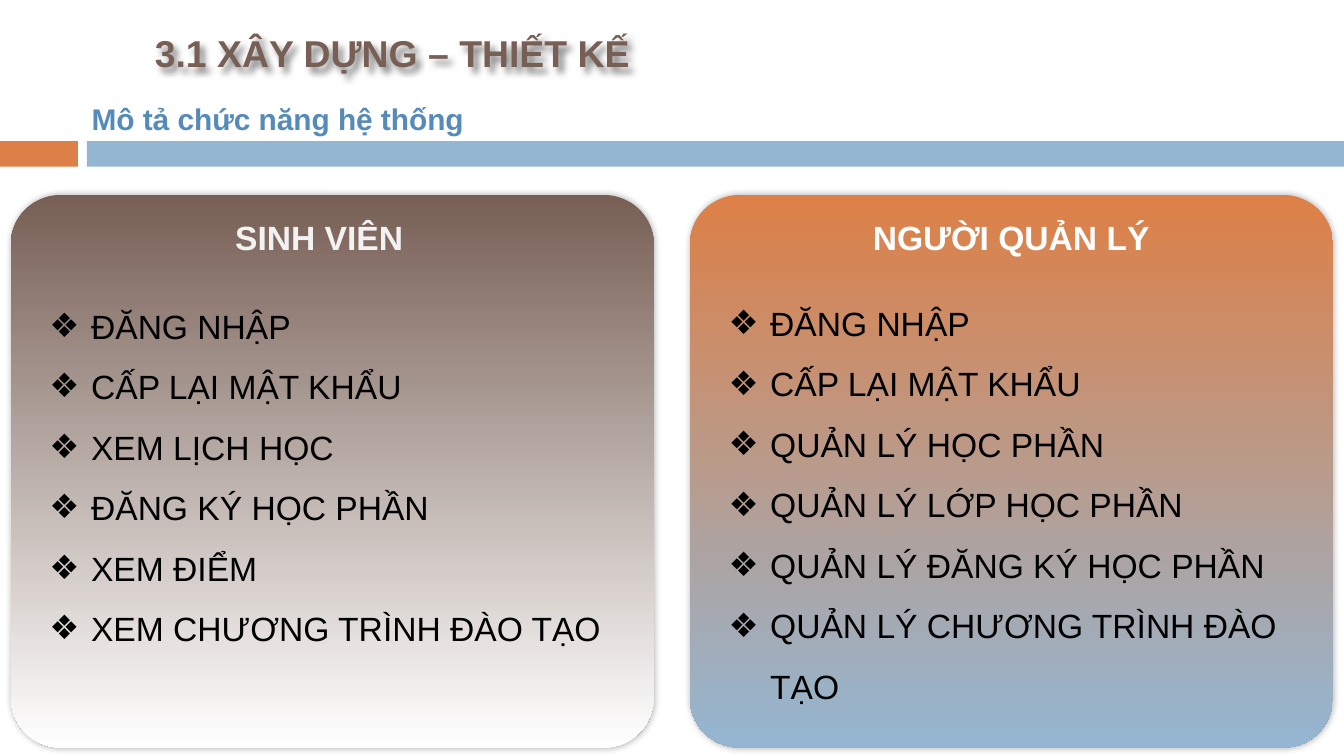
from lxml.etree import SubElement as Sub
from pptx import Presentation
from pptx.dml.color import RGBColor as RGB
from pptx.enum.shapes import MSO_SHAPE as SHAPE
from pptx.enum.text import MSO_ANCHOR as ANCHOR, MSO_AUTO_SIZE as AUTO, PP_ALIGN as ALIGN
from pptx.oxml.ns import qn
from pptx.util import Inches, Pt

ORANGE = RGB(0xDD, 0x80, 0x47)
BLUE = RGB(0x94, 0xB6, 0xD2)
DEEP_BLUE = RGB(0x55, 0x8B, 0xB8)
BROWN = RGB(0x77, 0x5F, 0x55)
PALE = RGB(0xF2, 0xF2, 0xF2)
WHITE = RGB(0xFF, 0xFF, 0xFF)
BLACK = RGB(0, 0, 0)

prs = Presentation()
prs.slide_width = Inches(10)
prs.slide_height = prs.slide_width * 9 // 16
COL, ROW = prs.slide_width / 100, prs.slide_height / 100
slide = prs.slides.add_slide(prs.slide_layouts[4])
shapes = slide.shapes
title, *pairs = slide.placeholders
heads, bodies = pairs[0::2], pairs[1::2]


def place(sp, x, y, w, h):
    sp.left, sp.top = int(x * COL), int(y * ROW)
    sp.width, sp.height = int(w * COL), int(h * ROW)
    shapes._spTree.append(sp._element)
    tf = sp.text_frame
    tf.word_wrap, tf.auto_size = True, AUTO.NONE
    tf.vertical_anchor = ANCHOR.TOP
    return tf


def add_run(p, text, size, color, bold=False):
    p.space_before = Pt(0)
    r = p.add_run()
    r.text = text
    r.font.size, r.font.bold, r.font.name = Pt(size), bold, "Arial"
    r.font.color.rgb = color


for x, w, color in ((0, 5.8, ORANGE), (6.46, 93.54, BLUE)):
    sp = shapes.add_shape(SHAPE.RECTANGLE, 0, 0, 0, 0)
    place(sp, x, 18.67, w, 3.38)
    sp.shadow.inherit = False
    sp.fill.solid()
    sp.fill.fore_color.rgb = color
    sp.line.fill.background()

shadows = [(title, 4, 3, 45, 50)]
cards = [
    (0.8, 15, 17.5, 36.86, 49.24, "SINH VIÊN", PALE, (BROWN, WHITE), [
        "ĐĂNG NHẬP", "CẤP LẠI MẬT KHẨU", "XEM LỊCH HỌC",
        "ĐĂNG KÝ HỌC PHẦN", "XEM ĐIỂM", "XEM CHƯƠNG TRÌNH ĐÀO TẠO"]),
    (51.33, 63.1, 24.3, 36.5, 57.42, "NGƯỜI QUẢN LÝ", WHITE, (ORANGE, BLUE), [
        "ĐĂNG NHẬP", "CẤP LẠI MẬT KHẨU", "QUẢN LÝ HỌC PHẦN",
        "QUẢN LÝ LỚP HỌC PHẦN", "QUẢN LÝ ĐĂNG KÝ HỌC PHẦN",
        "QUẢN LÝ CHƯƠNG TRÌNH ĐÀO TẠO"]),
]
for card, head, body in zip(cards, heads, bodies):
    x, head_x, head_w, body_y, body_h, name, color, ends, items = card
    sp = shapes.add_shape(SHAPE.ROUNDED_RECTANGLE, 0, 0, 0, 0)
    place(sp, x, 25.8, 47.85, 73.1)
    sp.adjustments[0] = 0.09
    sp.fill.gradient()
    sp.fill.gradient_angle = 270
    for stop, end, pos in zip(sp.fill.gradient_stops, ends, (0, 1)):
        stop.color.rgb, stop.position = end, pos
    sp.line.fill.background()
    shadows.append((sp, 3.4, 0.8, 9, 30))

    p = place(head, head_x, 27.8, head_w, 7.11).paragraphs[0]
    p.alignment = ALIGN.CENTER
    add_run(p, name, 18, color, True)

    tf = place(body, x + 1.88, body_y, 44.2, body_h)
    for i, item in enumerate(items):
        p = tf.add_paragraph() if i else tf.paragraphs[0]
        pPr = p._p.get_or_add_pPr()
        pPr.set("marL", str(Inches(0.31)))
        pPr.set("indent", str(-Inches(0.31)))
        Sub(Sub(pPr, qn("a:buClr")), qn("a:srgbClr"), val=str(BLACK))
        Sub(pPr, qn("a:buFont"), typeface="Arial")
        Sub(pPr, qn("a:buChar"), char="❖")
        p.line_spacing = 1.5
        add_run(p, item, 18, BLACK)

tf = place(title, -0.8, 0, 60, 14.04)
tf.vertical_anchor = ANCHOR.MIDDLE
p = tf.paragraphs[0]
p.alignment = ALIGN.CENTER
add_run(p, "3.1 XÂY DỰNG – THIẾT KẾ", 20, BROWN, True)

sp = shapes.add_textbox(0, 0, 0, 0)
p = place(sp, 5.84, 12.44, 33.3, 6.58).paragraphs[0]
add_run(p, "Mô tả chức năng hệ thống", 16, DEEP_BLUE, True)

for sp, blur, dist, angle, alpha in shadows:
    effects = sp._element.spPr.get_or_add_effectLst()
    shadow = Sub(effects, qn("a:outerShdw"), blurRad=str(Pt(blur)), dist=str(Pt(dist)),
                 dir=str(angle * 60000), rotWithShape="0")
    Sub(Sub(shadow, qn("a:srgbClr"), val=str(BLACK)), qn("a:alpha"), val=str(alpha * 1000))

prs.save("out.pptx")
